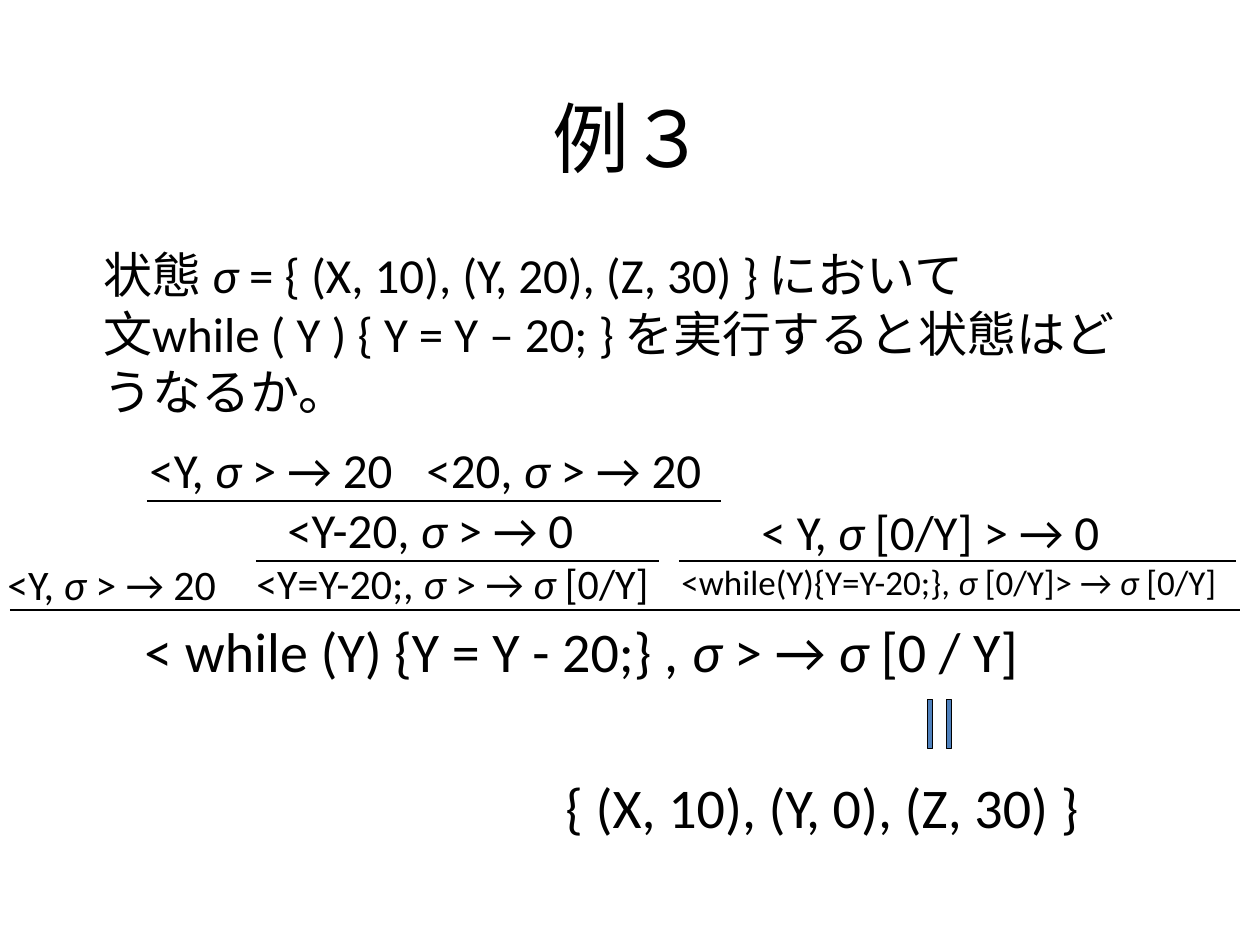
from dataclasses import dataclass

from lxml.etree import SubElement
from pptx import Presentation
from pptx.dml.color import RGBColor
from pptx.enum.shapes import MSO_CONNECTOR, MSO_SHAPE
from pptx.enum.text import MSO_ANCHOR, PP_ALIGN
from pptx.oxml.ns import qn
from pptx.slide import Slide
from pptx.util import Emu, Pt

PX_PER_INCH = 126


@dataclass(frozen=True)
class Theme:
    ink: RGBColor = RGBColor(0, 0, 0)
    accent: RGBColor = RGBColor(0x4F, 0x81, 0xBD)
    font: str = "Calibri"
    title: int = 44
    result: int = 32
    body: int = 28
    premise: int = 24
    small: int = 20
    rule: float = 0.75


@dataclass(frozen=True)
class Line:
    text: str
    size: int
    indent: int = 0
    tab: int = 0


@dataclass(frozen=True)
class Block:
    left: int
    top: int
    width: int
    height: int
    lines: tuple[Line, ...]
    centred: bool = False


@dataclass(frozen=True)
class Rule:
    left: int
    right: int
    y: int


THEME = Theme()

BLOCKS = (
    Block(94, 58, 1071, 158, (Line("例３", THEME.title),), centred=True),
    Block(91, 238, 1056, 190, (
        Line("状態 σ = { (X, 10), (Y, 20), (Z, 30) } において", THEME.body),
        Line("文while ( Y ) { Y = Y – 20; } を実行すると状態はどうなるか。", THEME.body),
    )),
    Block(137, 433, 600, 72, (
        Line("<Y, σ > → 20\t<20, σ > → 20", THEME.body, tab=277),
    )),
    Block(197, 493, 493, 123, (
        Line("<Y-20, σ > → 0", THEME.body, indent=78),
        Line("<Y=Y-20;, σ > → σ [0/Y]", THEME.premise, indent=47),
    )),
    Block(669, 495, 600, 115, (
        Line("< Y, σ [0/Y] > → 0", THEME.body, indent=80),
        Line("<while(Y){Y=Y-20;}, σ [0/Y]> → σ [0/Y]", THEME.small),
    )),
    Block(-5, 552, 280, 63, (Line("<Y, σ > → 20", THEME.premise),)),
    Block(132, 610, 951, 81, (
        Line("< while (Y) {Y = Y - 20;} , σ > → σ [0 / Y]", THEME.result),
    )),
    Block(553, 766, 638, 81, (Line("{ (X, 10), (Y, 0), (Z, 30) }", THEME.result),)),
)

INFERENCE_RULES = (
    Rule(147, 721, 501),
    Rule(256, 659, 561),
    Rule(679, 1236, 561),
    Rule(10, 1240, 610),
)


def px(length: int) -> Emu:
    return Emu(round(length * 914400 / PX_PER_INCH))


def write_line(paragraph, line: Line) -> None:
    properties = paragraph._p.get_or_add_pPr()
    if line.indent:
        properties.set("marL", str(px(line.indent)))
    if line.tab:
        stops = SubElement(properties, qn("a:tabLst"))
        SubElement(stops, qn("a:tab"), pos=str(px(line.tab)), algn="l")
    first, *rest = line.text.split("σ")
    paragraph.text = first
    for piece in rest:
        sigma = paragraph.add_run()
        sigma.text = "σ"
        sigma.font.italic = True
        paragraph.add_run().text = piece
    for run in paragraph.runs:
        run.font.name = THEME.font
        run.font.size = Pt(line.size)
        run.font.color.rgb = THEME.ink


def draw_block(slide: Slide, block: Block) -> None:
    frame = slide.shapes.add_textbox(
        px(block.left), px(block.top), px(block.width), px(block.height)
    ).text_frame
    frame.word_wrap = True
    if block.centred:
        frame.vertical_anchor = MSO_ANCHOR.MIDDLE
    for index, line in enumerate(block.lines):
        paragraph = frame.add_paragraph() if index else frame.paragraphs[0]
        write_line(paragraph, line)
        if block.centred:
            paragraph.alignment = PP_ALIGN.CENTER


def draw_rule(slide: Slide, rule: Rule) -> None:
    bar = slide.shapes.add_connector(
        MSO_CONNECTOR.STRAIGHT, px(rule.left), px(rule.y), px(rule.right), px(rule.y)
    )
    bar.line.color.rgb = THEME.ink
    bar.line.width = Pt(THEME.rule)
    SubElement(bar._element.spPr, qn("a:effectLst"))


def draw_equals(slide: Slide, left: int, top: int, width: int, height: int) -> None:
    equals = slide.shapes.add_shape(
        MSO_SHAPE.MATH_EQUAL, px(left), px(top), px(width), px(height)
    )
    equals.rotation = 270
    equals.adjustments[0] = 0.1
    equals.adjustments[1] = 0.27
    equals.shadow.inherit = False
    equals.fill.solid()
    equals.fill.fore_color.rgb = THEME.accent
    equals.line.color.rgb = THEME.ink
    equals.line.width = Pt(THEME.rule)


def main() -> None:
    presentation = Presentation()
    presentation.slide_width = px(1260)
    presentation.slide_height = px(945)
    slide = presentation.slides.add_slide(presentation.slide_layouts[6])
    for block in BLOCKS:
        draw_block(slide, block)
    for rule in INFERENCE_RULES:
        draw_rule(slide, rule)
    draw_equals(slide, 906, 699, 67, 50)
    presentation.save("out.pptx")


if __name__ == "__main__":
    main()
